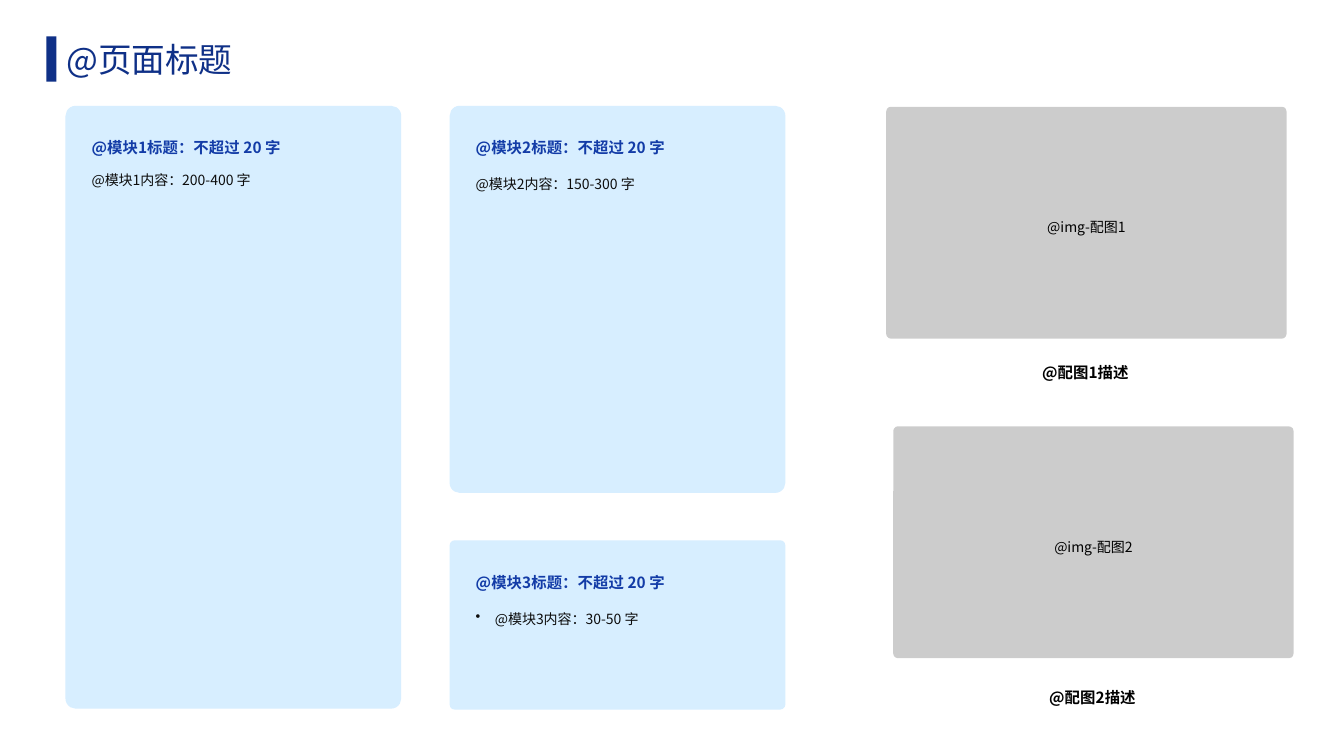
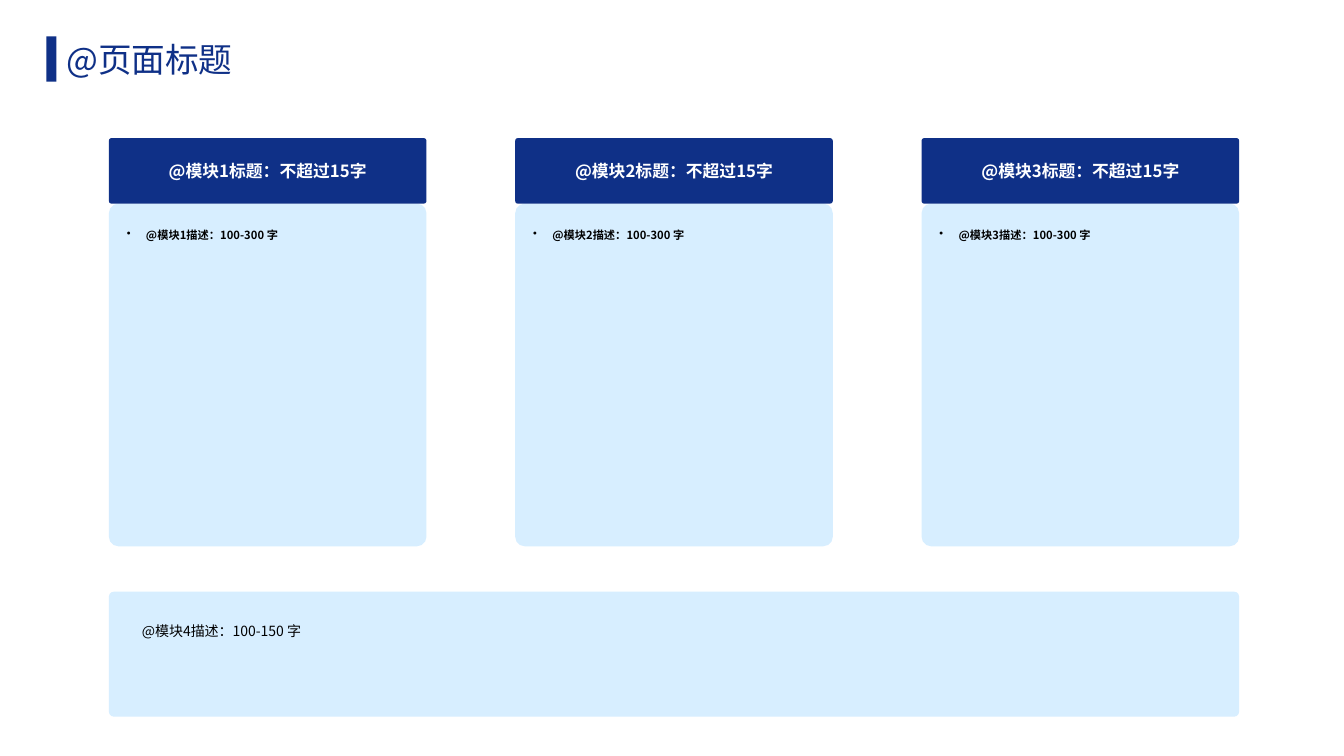
from lxml import etree
from pptx import Presentation
from pptx.dml.color import RGBColor
from pptx.enum.shapes import MSO_SHAPE
from pptx.enum.text import MSO_ANCHOR, PP_ALIGN
from pptx.oxml.ns import qn
from pptx.util import Inches, Pt

RECTANGLE = MSO_SHAPE.RECTANGLE
ROUNDED = MSO_SHAPE.ROUNDED_RECTANGLE
TOP, MIDDLE = MSO_ANCHOR.TOP, MSO_ANCHOR.MIDDLE
LEFT, CENTER = PP_ALIGN.LEFT, PP_ALIGN.CENTER
FONT = "Noto Sans CJK SC"
COLORS = {
    "navy": "0F3087",
    "heading": "133CA7",
    "panel": "D7EEFF",
    "body": "0D0D0D",
    "black": "000000",
    "white": "FFFFFF",
}


class Deck:
    """Holds the shared style and the current page."""

    def __init__(self):
        self.deck = Presentation()
        self.deck.slide_width = Inches(13.33)
        self.deck.slide_height = Inches(7.5)
        self.page = None

    def add_page(self, title):
        self.page = self.deck.slides.add_slide(self.deck.slide_layouts[6])
        self.panel(0.46, 0.36, 0.1, 0.45, "navy", kind=RECTANGLE)
        self.text(0.56, 0.28, 12.22, 0.61, title, 24, "navy", anchor=MIDDLE, spacing=1)

    def panel(self, left, top, width, height, color="panel", kind=ROUNDED, radius=0.03, alpha=None):
        shape = self.page.shapes.add_shape(
            kind, Inches(left), Inches(top), Inches(width), Inches(height))
        shape.shadow.inherit = False
        shape.line.fill.background()
        shape.fill.solid()
        shape.fill.fore_color.rgb = RGBColor.from_string(COLORS[color])
        if kind == ROUNDED:
            shape.adjustments[0] = radius
        if alpha is not None:
            fill_color = shape._element.spPr.find(".//" + qn("a:srgbClr"))
            etree.SubElement(fill_color, qn("a:alpha"), val=str(alpha * 1000))
        return shape

    def text(self, left, top, width, height, words, size, color, **style):
        box = self.page.shapes.add_textbox(
            Inches(left), Inches(top), Inches(width), Inches(height))
        self.label(box, words, size, color, **style)

    def label(self, box, words, size, color, bold=False, align=LEFT, anchor=TOP,
              spacing=1.5, bullet=False, inset=None):
        frame = box.text_frame
        frame.word_wrap = True
        frame.vertical_anchor = anchor
        if inset is not None:
            frame.margin_left = frame.margin_right = Inches(inset)
            frame.margin_top = frame.margin_bottom = Inches(inset)
        para = frame.paragraphs[0]
        para.text = words
        para.alignment = align
        para.line_spacing = spacing
        properties = para._p.get_or_add_pPr()
        if bullet:
            properties.set("marL", str(Inches(0.19)))
            properties.set("indent", str(-Inches(0.19)))
            etree.SubElement(properties, qn("a:buChar"), char="•")
        para.font.size = Pt(size)
        para.font.bold = bold
        para.font.color.rgb = RGBColor.from_string(COLORS[color])
        para.font.name = FONT
        etree.SubElement(properties.find(qn("a:defRPr")), qn("a:ea"), typeface=FONT)

    def module(self, number, left, top, height, length, body_offset, bullet=False):
        self.panel(left, top, 3.33, height)
        self.text(left + 0.16, top + body_offset, 3.01, height - 0.72,
                  f"@模块{number}内容：{length} 字", 10, "body", bullet=bullet)
        self.text(left + 0.16, top + 0.18, 2.91, 0.38,
                  f"@模块{number}标题：不超过 20 字", 11, "heading", bold=True)

    def figure(self, number, left, top, caption_top):
        frame = self.panel(left, top, 3.97, 2.3, "black", radius=0.02, alpha=20)
        self.label(frame, f"@img-配图{number}", 10, "black", align=CENTER, anchor=MIDDLE)
        self.text(left + 0.52, caption_top, 2.91, 0.38,
                  f"@配图{number}描述", 11, "black", bold=True, align=CENTER)

    def column(self, number, left):
        body = self.panel(left, 2.02, 3.15, 3.4)
        self.label(body, f"@模块{number}描述：100-300 字", 8, "black",
                   bold=True, bullet=True, inset=0.15)
        header = self.panel(left, 1.37, 3.15, 0.65, "navy", radius=0.04)
        self.label(header, f"@模块{number}标题：不超过15字", 12, "white",
                   bold=True, align=CENTER, anchor=MIDDLE, spacing=1)


def main():
    slides = Deck()

    slides.add_page("@页面标题")
    slides.module(1, 0.65, 1.05, 5.98, "200-400", 0.52)
    slides.module(2, 4.46, 1.05, 3.84, "150-300", 0.56)
    slides.module(3, 4.46, 5.36, 1.68, "30-50", 0.56, bullet=True)
    slides.figure(1, 8.79, 1.06, 3.46)
    slides.figure(2, 8.86, 4.23, 6.69)

    slides.add_page("@页面标题")
    for index in range(3):
        slides.column(index + 1, 1.08 + index * (3.15 + 0.88))
    slides.panel(1.08, 5.87, 11.21, 1.24, radius=0.04)
    slides.text(1.31, 6.04, 10.74, 0.89, "@模块4描述：100-150 字", 10, "black")

    slides.deck.save("out.pptx")


if __name__ == "__main__":
    main()
